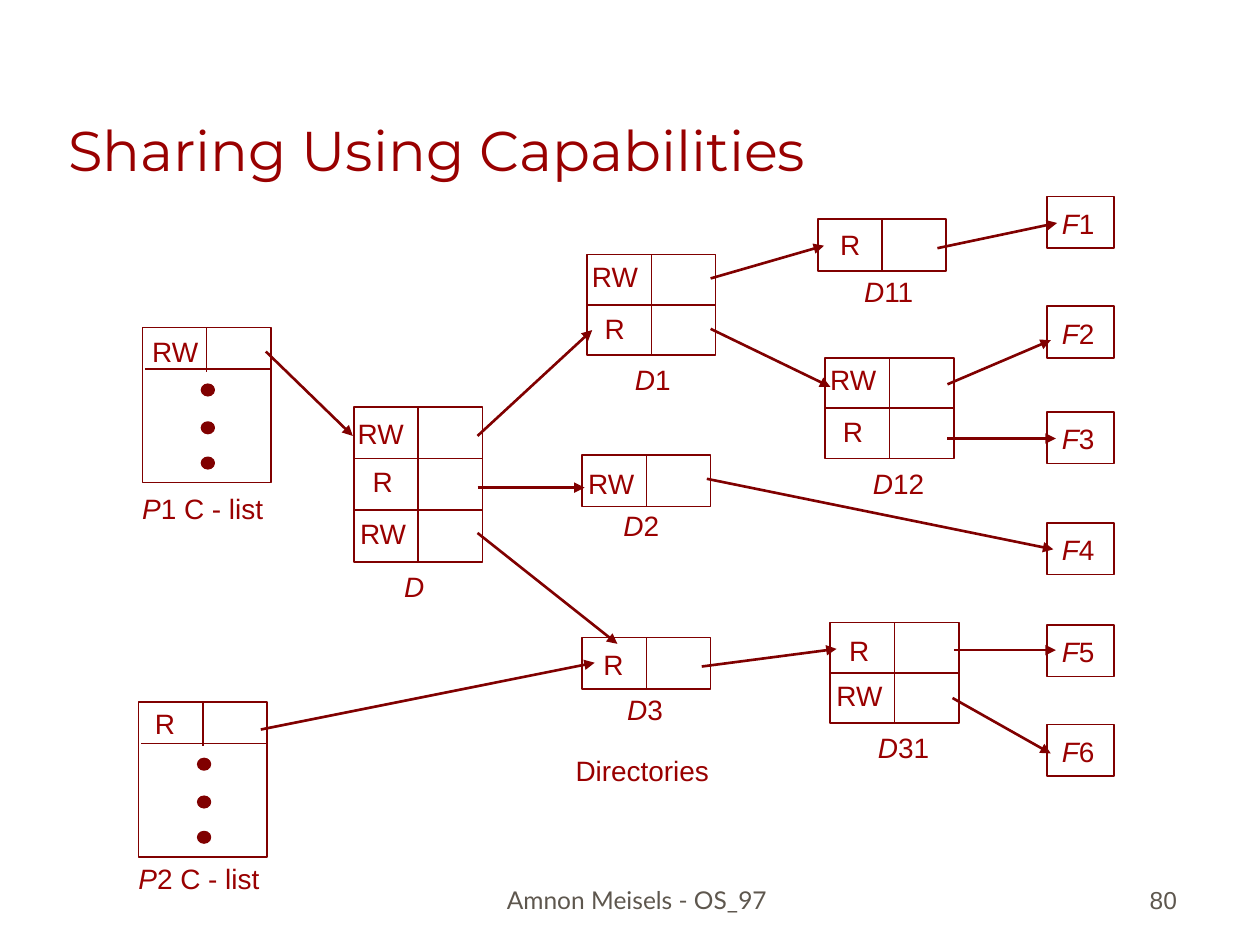
import pptx
import pptx.dml.color
import pptx.enum.shapes
import pptx.enum.text
import pptx.oxml.ns
import pptx.util
from lxml import etree

COLUMNS, ROWS = 100, 75
WIDTH, HEIGHT = pptx.util.Inches(10), pptx.util.Inches(7.5)
MAROON, RED, GREY, WHITE = "800000", "990000", "5E574E", "FFFFFF"
LABEL_HEIGHT = 3.7
LABEL_WIDTHS = {1: 3.9, 2: 6.4, 3: 7}
LONG_LABEL_WIDTH = 12.7
BOX_WIDTH, FILE_WIDTH = 10.2, 5.3
LIST_HEIGHT, FILE_HEIGHT = 12.3, 4.1

C_LISTS = [
    (11.3, 26, ("RW", -0.2, 0.1), ("P", "1 C - list", -1, 12.5)),
    (11, 55.7, ("R", 0.3, -0.1), ("P", "2 C - list", -1, 12.2)),
]
DIRECTORIES = [
    (28.1, 32.3, 12.3, [("RW", -0.7, 0.3), ("R", 0.5, 4.1), ("RW", -0.5, 8.2)], ("", 3, 12.4)),
    (46.6, 20.2, 8, [("RW", -0.6, -0.1), ("R", 0.4, 4)], ("1", 2.8, 8.1)),
    (46.2, 50.6, 4.1, [("R", 0.7, 0.3)], ("3", 2.6, 3.9)),
    (46.2, 36.1, 4.1, [("RW", -0.5, 0.4)], ("2", 2.3, 3.8)),
    (64.9, 17.4, 4.1, [("R", 0.8, 0.2)], ("11", 2.7, 3.9)),
    (65.5, 28.4, 8, [("RW", -0.6, -0.1), ("R", 0.4, 4)], ("12", 2.8, 8.1)),
    (65.9, 49.4, 8, [("R", 0.5, 0.4), ("RW", -0.5, 4)], ("31", 2.8, 8.1)),
]
FILE_LEFT = 83.1
FILE_TOPS = [15.6, 24.3, 32.7, 41.5, 49.6, 57.5]
ARROWS = [
    (21.1, 27.9, 28, 34.6), (20.7, 57.9, 47.2, 52.6),
    (37.9, 34.6, 47, 26.2), (37.9, 38.7, 46.4, 38.7), (37.9, 42.3, 49, 51.1),
    (56.4, 22.1, 65.4, 19.5), (56.4, 26.1, 65.9, 30.7),
    (56.1, 38, 83.6, 43.6), (55.7, 52.9, 66.4, 51.5),
    (74.4, 19.7, 83.9, 17.7), (75.2, 30.5, 83.4, 27), (75.2, 34.8, 83.8, 34.8),
    (75.7, 51.6, 83.8, 51.6), (75.6, 55.4, 83.4, 59.8),
]


def color(value):
    """Turn a hex string into a colour."""
    return pptx.dml.color.RGBColor.from_string(value)


def across(columns):
    """Turn grid columns into a length."""
    return round(columns * WIDTH / COLUMNS)


def down(rows):
    """Turn grid rows into a length."""
    return round(rows * HEIGHT / ROWS)


def area(left, top, width, height):
    """Turn a grid box into four lengths."""
    return across(left), down(top), across(width), down(height)


def add_run(paragraph, text, size=16, font="Arial", fill=RED, italic=False):
    """Append one formatted run to a paragraph."""
    run = paragraph.add_run()
    run.text = text
    run.font.size = pptx.util.Pt(size)
    run.font.name = font
    run.font.italic = italic
    run.font.color.rgb = color(fill)


def add_label(shapes, left, top, text, italic=""):
    """Add a diagram label, with an optional italic letter in front."""
    width = LABEL_WIDTHS.get(len(italic + text), LONG_LABEL_WIDTH)
    frame = shapes.add_textbox(*area(left, top, width, LABEL_HEIGHT)).text_frame
    frame.word_wrap = True
    if italic:
        add_run(frame.paragraphs[0], italic, italic=True)
    if text:
        add_run(frame.paragraphs[0], text)


def add_outline(shapes, kind, box, fill):
    """Add a filled shape with the maroon outline."""
    shape = shapes.add_shape(kind, *area(*box))
    shape.shadow.inherit = False
    shape.fill.solid()
    shape.fill.fore_color.rgb = color(fill)
    shape.line.color.rgb = color(MAROON)
    shape.line.width = pptx.util.Pt(1)


def add_box(shapes, *box):
    """Add a white rectangle."""
    add_outline(shapes, pptx.enum.shapes.MSO_SHAPE.RECTANGLE, box, WHITE)


def add_line(shapes, start_x, start_y, end_x, end_y, weight=1, arrow=False):
    """Add a straight line, with an arrowhead at its end if wanted."""
    line = shapes.add_connector(
        pptx.enum.shapes.MSO_CONNECTOR.STRAIGHT,
        across(start_x), down(start_y), across(end_x), down(end_y))
    line.line.color.rgb = color(MAROON)
    line.line.width = pptx.util.Pt(weight)
    if arrow:
        outline = line.line._get_or_add_ln()
        etree.SubElement(outline, pptx.oxml.ns.qn("a:tailEnd"), type="triangle")
    etree.SubElement(line._element.spPr, pptx.oxml.ns.qn("a:effectLst"))


def add_c_list(slide, left, top, right, name):
    """Draw a process capability list with three continuation dots."""
    shapes = slide.shapes.add_group_shape().shapes
    add_box(shapes, left, top, BOX_WIDTH, LIST_HEIGHT)
    add_line(shapes, left + 0.2, top + 3.3, left + BOX_WIDTH, top + 3.3)
    add_line(shapes, left + BOX_WIDTH / 2, top, left + BOX_WIDTH / 2, top + 3.5)
    for offset in (4.5, 7.5, 10.3):
        dot = (left + 4.7, top + offset, 1, 0.9)
        add_outline(shapes, pptx.enum.shapes.MSO_SHAPE.OVAL, dot, MAROON)
    text, column, row = right
    add_label(shapes, left + column, top + row, text)
    letter, rest, column, row = name
    add_label(shapes, left + column, top + row, rest, letter)


def add_directory(slide, left, top, height, rights, name):
    """Draw a directory with one row for each access right."""
    shapes = slide.shapes.add_group_shape().shapes
    add_box(shapes, left, top, BOX_WIDTH, height)
    add_line(shapes, left + BOX_WIDTH / 2, top, left + BOX_WIDTH / 2, top + height)
    for index in range(1, len(rights)):
        divider = top + index * height / len(rights)
        add_line(shapes, left, divider, left + BOX_WIDTH, divider)
    for text, column, row in rights:
        add_label(shapes, left + column, top + row, text)
    number, column, row = name
    add_label(shapes, left + column, top + row, number, "D")


def add_file(slide, left, top, number):
    """Draw a file box with its name."""
    shapes = slide.shapes.add_group_shape().shapes
    add_box(shapes, left, top, FILE_WIDTH, FILE_HEIGHT)
    add_label(shapes, left + 0.2, top + 0.3, str(number), "F")


def add_title(slide, box, text):
    """Place and format the title placeholder."""
    title = slide.shapes.title
    title.left, title.top, title.width, title.height = area(*box)
    frame = title.text_frame
    frame.auto_size = pptx.enum.text.MSO_AUTO_SIZE.NONE
    frame.vertical_anchor = pptx.enum.text.MSO_ANCHOR.BOTTOM
    frame.paragraphs[0].alignment = pptx.enum.text.PP_ALIGN.LEFT
    add_run(frame.paragraphs[0], text, 32, "Montserrat")


def add_footer(slide, box, text, alignment, font):
    """Add one footer text."""
    frame = slide.shapes.add_textbox(*area(*box)).text_frame
    frame.word_wrap = True
    frame.vertical_anchor = pptx.enum.text.MSO_ANCHOR.BOTTOM
    frame.paragraphs[0].alignment = alignment
    add_run(frame.paragraphs[0], text, 14, font, GREY)


def main():
    """Build and save the slide."""
    presentation = pptx.Presentation()
    presentation.slide_width, presentation.slide_height = WIDTH, HEIGHT
    slide = presentation.slides.add_slide(presentation.slide_layouts[5])
    add_title(slide, (4.4, 2.5, 85, 12.5), "Sharing Using Capabilities")
    for c_list in C_LISTS:
        add_c_list(slide, *c_list)
    for directory in DIRECTORIES:
        add_directory(slide, *directory)
    add_label(slide.shapes, 44.7, 59.3, "Directories")
    for number, top in enumerate(FILE_TOPS, 1):
        add_file(slide, FILE_LEFT, top, number)
    for arrow in ARROWS:
        add_line(slide.shapes, *arrow, weight=1.5, arrow=True)
    align = pptx.enum.text.PP_ALIGN
    add_footer(slide, (34.2, 68.1, 32.7, 5), "Amnon Meisels - OS_97", align.CENTER, "Lato")
    add_footer(slide, (73.6, 68.1, 20.8, 5), "80", align.RIGHT, "Arial")
    presentation.save("out.pptx")


if __name__ == "__main__":
    main()
